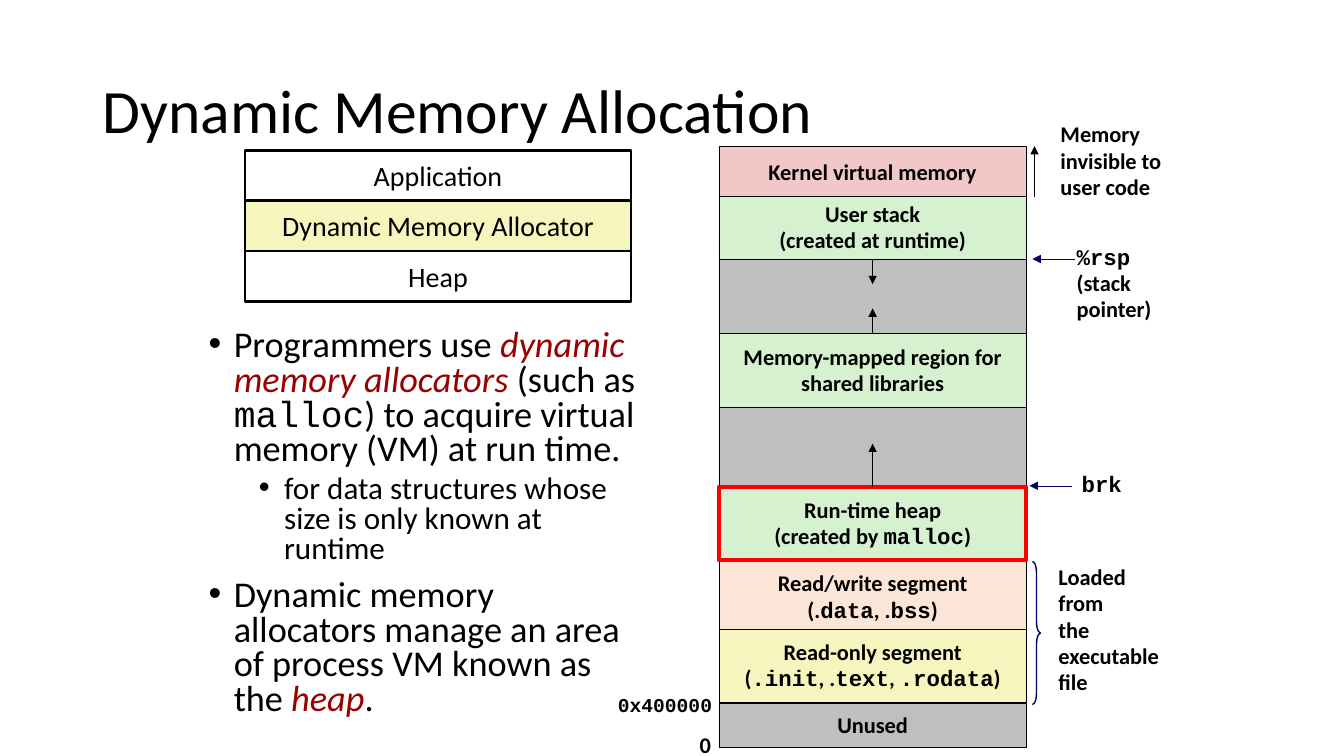
from pptx import Presentation
from pptx.dml.color import RGBColor
from pptx.enum import shapes, text
from pptx.oxml import parse_xml
from pptx.oxml.ns import nsdecls, qn
from pptx.util import Inches, Pt

HUES = {
    "black": "000000", "white": "FFFFFF", "gray": "BFBFBF", "pink": "F1C7C7",
    "green": "D5F1CF", "peach": "FBE5D6", "yellow": "F6F5BD",
    "red": "FF0000", "navy": "000066", "accent": "990000",
}
SANS, MONO = "Calibri", "Courier New"
MIDDLE, TOP = text.MSO_ANCHOR.MIDDLE, text.MSO_ANCHOR.TOP
LEFT, CENTER = text.PP_ALIGN.LEFT, text.PP_ALIGN.CENTER

# Name, offset from the top of the map, height, fill, lines
BANDS = [
    ("kernel", 0, 0.53, "pink", ["Kernel virtual memory"]),
    ("shared", 1.86, 0.73, "green",
     ["Memory-mapped region for", "shared libraries"]),
    ("low gap", 2.59, 0.79, "gray", []),
    ("high gap", 0.87, 0.99, "gray", []),
    ("stack", 0.5, 0.62, "green", ["User stack", "(created at runtime)"]),
    ("unused", 5.53, 0.43, "gray", ["Unused"]),
    ("data", 4.11, 0.73, "peach",
     ["Read/write segment", "(.`data`, .`bss`)"]),
    ("code", 4.79, 0.73, "yellow",
     ["Read-only segment", "(`.init`, .`text`, `.rodata`)"]),
    ("heap", 3.38, 0.73, "green", ["Run-time heap", "(created by `malloc`)"]),
]
# Offset from the map's corner, size, point size, lines
LABELS = [
    (-0.29, 5.77, 0.31, 0.37, 16, ["0"]),
    (3.45, 0.93, 0.95, 0.88, 16, ["`%rsp`", "(stack", "pointer)"]),
    (3.29, -0.29, 1.26, 0.89, 16, ["Memory", "invisible to", "user code"]),
    (3.5, 3.19, 0.6, 0.36, 16, ["`brk`"]),
    (-1.1, 5.39, 1.14, 0.33, 14, ["`0x400000`"]),
    (3.27, 4.1, 1.26, 1.42, 16,
     ["Loaded", "from", "the", "executable", "file"]),
]
# Band, connection site, length upwards
GROWTH = [("heap", 0, 0.43), ("shared", 0, 0.25), ("stack", 2, -0.25)]
# Start and end offsets from the map's corner
MARKS = [
    (3.53, 1.12, 3.11, 1.12, "navy"),
    (3.13, 0.5, 3.13, 0, "black"),
    (3.5, 3.37, 3.08, 3.37, "navy"),
]
POINTS = [
    (0, "Programmers use *dynamic memory allocators *(such as `malloc`) "
        "to acquire virtual memory (VM) at run time."),
    (1, "for data structures whose size is only known at runtime"),
    (0, "Dynamic memory allocators manage an area of process VM known as "
        "the *heap*."),
]


def tint(name):
    return RGBColor.from_string(HUES[name])


def write(para, line, size, bold=False):
    """Fill a paragraph; `x` is set as code and *x* as an accent."""
    for i, part in enumerate(line.split("`")):
        for j, piece in enumerate(part.split("*")):
            if piece:
                run = para.add_run()
                run.text = piece
                font = run.font
                font.name = MONO if i % 2 else SANS
                font.size, font.bold = Pt(size), bold
                font.italic = bool(j % 2)
                font.color.rgb = tint("accent" if j % 2 else "black")


def fill(frame, lines, size, bold=False, align=LEFT, anchor=TOP, space=1.0):
    frame.word_wrap = False
    frame.vertical_anchor = anchor
    for i, line in enumerate(lines):
        para = frame.add_paragraph() if i else frame.paragraphs[0]
        para.alignment = align
        code = line.startswith("`") and bold
        para.line_spacing = 0.94 if code else space
        write(para, line, size, bold)


def block(slide, box, hue, edge, width, kind=shapes.MSO_SHAPE.RECTANGLE):
    shape = slide.shapes.add_shape(kind, *map(Inches, box))
    shape.shadow.inherit = False
    if hue:
        shape.fill.solid()
        shape.fill.fore_color.rgb = tint(hue)
    else:
        shape.fill.background()
    shape.line.color.rgb = tint(edge)
    shape.line.width = Pt(width)
    return shape


def arrow(slide, start, end, hue):
    line = slide.shapes.add_connector(
        shapes.MSO_CONNECTOR.STRAIGHT, *map(Inches, start + end))
    line.line.color.rgb = tint(hue)
    line.line.width = Pt(0.25)
    line.line._get_or_add_ln().append(
        parse_xml(f'<a:tailEnd {nsdecls("a")} type="triangle"/>'))
    line._element.spPr.append(parse_xml(f'<a:effectLst {nsdecls("a")}/>'))
    return line


def title(slide, box):
    frame = slide.shapes.add_textbox(*map(Inches, box)).text_frame
    fill(frame, ["Dynamic Memory Allocation"], 44, anchor=MIDDLE, space=0.9)
    frame.word_wrap = True


def layers(slide, box):
    x, y, w, h = box
    rows = [("Application", "white"), ("Dynamic Memory Allocator", "yellow"),
            ("Heap", "white")]
    step = h / len(rows)
    for i, (name, hue) in enumerate(rows):
        row = block(slide, (x, y + i * step, w, step), hue, "black", 2)
        fill(row.text_frame, [name], 20, align=CENTER, anchor=MIDDLE)


def bullets(slide, box):
    frame = slide.shapes.add_textbox(*map(Inches, box)).text_frame
    frame.word_wrap = True
    for i, (level, line) in enumerate(POINTS):
        para = frame.add_paragraph() if i else frame.paragraphs[0]
        para.level = level
        para.line_spacing = 0.8
        para.space_before = Pt(5 if level else 10)
        write(para, line, 22.2 if level else 25.9)
        props = para._p.get_or_add_pPr()
        props.set("marL", str(Inches(0.25 + 0.5 * level)))
        props.set("indent", str(Inches(-0.25)))
        props.append(parse_xml(
            f'<a:buFont {nsdecls("a")} typeface="Arial"/>'))
        props.append(parse_xml(f'<a:buChar {nsdecls("a")} char="•"/>'))


def memory(slide, box):
    """Draw the address space with its arrows and side labels."""
    x, y, w, h = box
    bands = {}
    for name, top, tall, hue, lines in BANDS:
        edge, width = ("red", 3) if name == "heap" else ("black", 0.25)
        band = block(slide, (x, y + top, w, tall), hue, edge, width)
        fill(band.text_frame, lines, 16, True, CENTER, MIDDLE, 0.98)
        bands[name] = (band, y + top, tall)
    for name, site, rise in GROWTH:
        band, top, tall = bands[name]
        mid, base = x + w / 2, top + (tall if site == 2 else 0)
        line = arrow(slide, (mid, base), (mid, base - rise), "black")
        line.begin_connect(band, site)
    for x1, y1, x2, y2, hue in MARKS:
        arrow(slide, (x + x1, y + y1), (x + x2, y + y2), hue)
    brace = block(slide, (x + 3.11, y + 4.12, 0.08, 1.42), None, "navy", 1,
                  shapes.MSO_SHAPE.RIGHT_BRACE)
    brace.adjustments[0] = 1.42
    brace.adjustments[1] = 0.5
    for left, top, wide, tall, size, lines in LABELS:
        note = slide.shapes.add_textbox(
            *map(Inches, (x + left, y + top, wide, tall)))
        fill(note.text_frame, lines, size, True, space=0.98)
        note.text_frame.auto_size = text.MSO_AUTO_SIZE.SHAPE_TO_FIT_TEXT


def main():
    deck = Presentation()
    deck.slide_width, deck.slide_height = Inches(13.33), Inches(7.5)
    slide = deck.slides.add_slide(deck.slide_layouts[6])
    title(slide, (0.92, 0.4, 11.5, 1.45))
    bullets(slide, (1.97, 3.22, 4.48, 4.17))
    layers(slide, (2.43, 1.49, 3.83, 1.5))
    memory(slide, (7.13, 1.45, 3.05, 5.96))
    deck.save("out.pptx")


if __name__ == "__main__":
    main()
